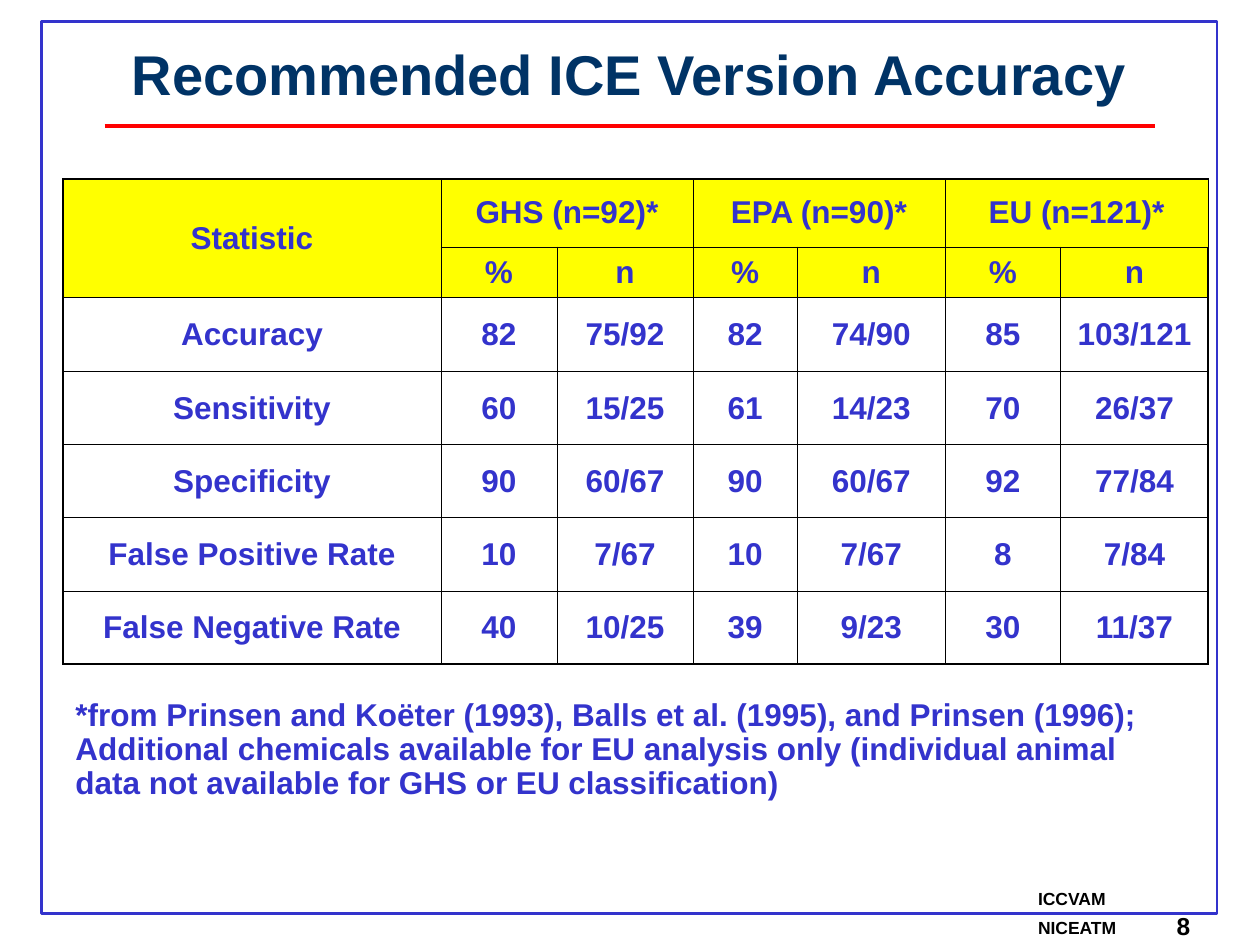
from lxml import etree
from pptx import Presentation
from pptx import util as u
from pptx.dml.color import RGBColor
from pptx.enum import shapes, text
from pptx.oxml.ns import qn

# Content
TITLE = "Recommended ICE Version Accuracy"
GROUPS = ["GHS (n=92)*", "EPA (n=90)*", "EU (n=121)*"]
STATISTICS = [
    ("Accuracy", "82", "75/92", "82", "74/90", "85", "103/121"),
    ("Sensitivity", "60", "15/25", "61", "14/23", "70", "26/37"),
    ("Specificity", "90", "60/67", "90", "60/67", "92", "77/84"),
    ("False Positive Rate", "10", "7/67", "10", "7/67", "8", "7/84"),
    ("False Negative Rate", "40", "10/25", "39", "9/23", "30", "11/37"),
]
FOOTNOTE = (
    "*from Prinsen and Koëter (1993), Balls et al. (1995), and Prinsen (1996); "
    "Additional chemicals available for EU analysis only (individual animal "
    "data not available for GHS or EU classification)"
)
# Text, box (left, top, width, height), size, colour, line spacing, wrap
TEXT_BOXES = [
    ("ICCVAM", (8.14, 7, 0.81, 0.27), 10, "black", 1, True),
    ("NICEATM", (8.14, 7.23, 0.97, 0.27), 10, "black", 1, True),
    ("8", (9.24, 7.18, 1.14, 0.34), 14, "black", 1, False),
    (FOOTNOTE, (0.5, 5.5, 8.75, 0.91), 18, "blue", 0.9, True),
]

COLORS = {"blue": "3333CC", "navy": "003366", "red": "FF0000",
          "yellow": "FFFF00", "black": "000000"}
COLUMN_WIDTHS = [3, 0.92, 1.08, 0.83, 1.17, 0.92, 1.17]
ROW_HEIGHTS = [0.54, 0.4, 0.59] + [0.58] * 4
HEADER_ROWS = 2
INNER_BORDER, OUTER_BORDER = 0.45, 1.08


def color(name):
    return RGBColor.from_string(COLORS[name])


def inches(box):
    return [u.Inches(value) for value in box]


def write(frame, content, size, color_name, **formats):
    frame.text = content
    paragraph = frame.paragraphs[0]
    for name, value in formats.items():
        setattr(paragraph, name, value)
    font = paragraph.runs[0].font
    for name, value in {"name": "Arial", "size": u.Pt(size), "bold": True}.items():
        setattr(font, name, value)
    font.color.rgb = color(color_name)


def add_border(cell, side, width):
    properties = cell._tc.get_or_add_tcPr()
    line = etree.SubElement(properties, qn(f"a:ln{side}"), w=str(u.Pt(width)))
    fill = etree.SubElement(line, qn("a:solidFill"))
    etree.SubElement(fill, qn("a:srgbClr"), val=COLORS["black"])


def add_statistics_table(slide):
    header = ["Statistic"]
    for group in GROUPS:
        header += [group, ""]
    rows = [header, [""] + ["%", "n"] * len(GROUPS)] + STATISTICS
    last_row, last_column = len(rows) - 1, len(COLUMN_WIDTHS) - 1
    box = inches((0.5, 1.42, sum(COLUMN_WIDTHS), sum(ROW_HEIGHTS)))
    table = slide.shapes.add_table(len(rows), len(COLUMN_WIDTHS), *box).table
    table.first_row = table.horz_banding = False
    for column, width in zip(table.columns, COLUMN_WIDTHS):
        column.width = u.Inches(width)
    for row, height in zip(table.rows, ROW_HEIGHTS):
        row.height = u.Inches(height)

    for i, row in enumerate(rows):
        for j, content in enumerate(row):
            cell = table.cell(i, j)
            outer_sides = {"L": j == 0, "R": j == last_column,
                           "T": i == 0, "B": i == last_row}
            for side, outer in outer_sides.items():
                add_border(cell, side, OUTER_BORDER if outer else INNER_BORDER)
            if i < HEADER_ROWS:
                cell.fill.solid()
                cell.fill.fore_color.rgb = color("yellow")
            else:
                cell.fill.background()
            cell.vertical_anchor = text.MSO_ANCHOR.MIDDLE
            if content:
                write(cell.text_frame, content, 18, "blue",
                      alignment=text.PP_ALIGN.CENTER)

    # Merged headings
    table.cell(0, 0).merge(table.cell(1, 0))
    for j in range(1, last_column, 2):
        table.cell(0, j).merge(table.cell(0, j + 1))


def main():
    presentation = Presentation()
    presentation.slide_width, presentation.slide_height = inches((10, 7.5))
    slide = presentation.slides.add_slide(presentation.slide_layouts[5])

    # Page frame
    frame = slide.shapes.add_shape(
        shapes.MSO_SHAPE.RECTANGLE, *inches((0.33, 0.17, 9.33, 7.08)))
    frame.shadow.inherit = False
    frame.fill.background()
    frame.line.color.rgb = color("blue")
    frame.line.width = u.Pt(1.5)

    # Title
    title = slide.shapes.title
    title.left, title.top, title.width, title.height = inches((0.33, 0.33, 9.33, 0.5))
    title.text_frame.auto_size = text.MSO_AUTO_SIZE.NONE
    title.text_frame.vertical_anchor = text.MSO_ANCHOR.MIDDLE
    write(title.text_frame, TITLE, 32, "navy", alignment=text.PP_ALIGN.CENTER)

    add_statistics_table(slide)

    # Rule under the title
    rule = slide.shapes.add_connector(
        shapes.MSO_CONNECTOR.STRAIGHT, *inches((0.83, 1, 9.17, 1)))
    rule.line.color.rgb = color("red")
    rule.line.width = u.Pt(2.25)
    etree.SubElement(rule._element.spPr, qn("a:effectLst"))

    # Footer labels, page number and footnote
    for content, box, size, color_name, spacing, wrap in TEXT_BOXES:
        text_frame = slide.shapes.add_textbox(*inches(box)).text_frame
        text_frame.word_wrap = wrap
        write(text_frame, content, size, color_name, line_spacing=spacing)

    presentation.save("out.pptx")


if __name__ == "__main__":
    main()
